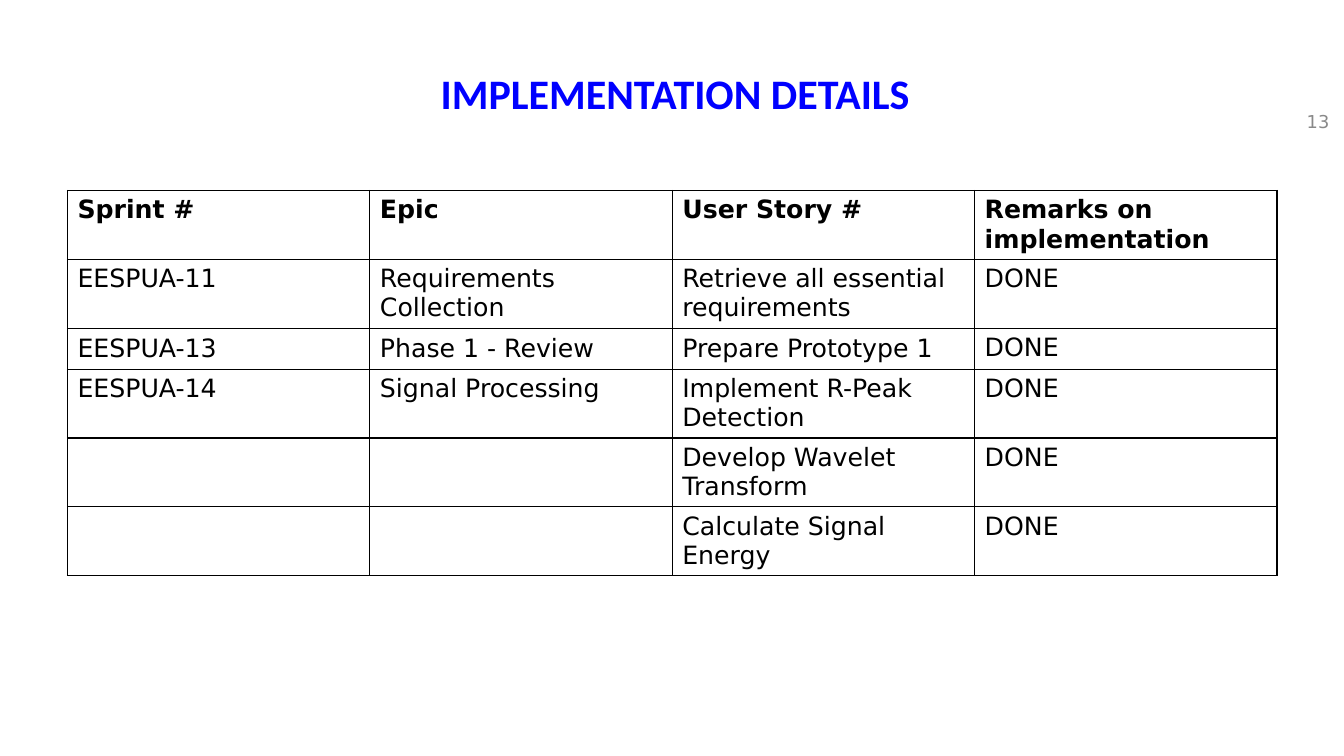
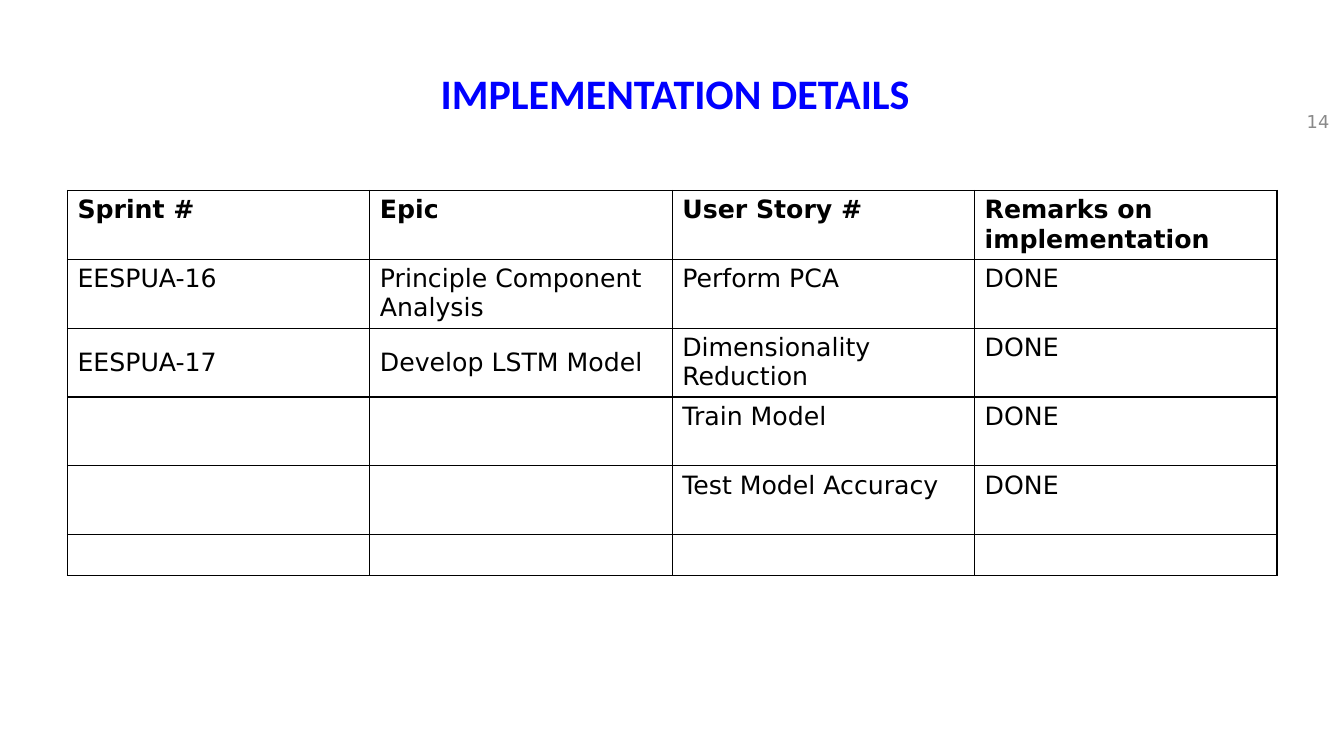
from pptx import Presentation
from pptx.dml.color import RGBColor
from pptx.enum.text import MSO_ANCHOR, MSO_AUTO_SIZE, PP_ALIGN
from pptx.oxml import parse_xml
from pptx.oxml.ns import nsdecls
from pptx.util import Pt

BLUE = RGBColor(0x00, 0x00, 0xFF)
BLACK = RGBColor(0x00, 0x00, 0x00)
GREY = RGBColor(0x89, 0x89, 0x89)

TITLE = {"name": "Calibri", "size": Pt(30), "bold": True, "color": BLUE}
HEADER = {"name": "DejaVu Sans", "size": Pt(18), "bold": True, "color": BLACK}
CELL = {**HEADER, "bold": False}
NUMBER = {"name": "DejaVu Sans", "size": Pt(12.7), "color": GREY}

COLUMNS = ["Sprint #", "Epic", "User Story #", "Remarks on implementation"]
COLUMN_WIDTH = 216
TALL, SHORT = 49.2, 29.3
CENTRED_ROW = 2

# Each row: its height, then its cells
SLIDES = [
    (13, [
        (TALL, ["EESPUA-11", "Requirements Collection",
                "Retrieve all essential requirements", "DONE"]),
        (SHORT, ["EESPUA-13", "Phase 1 - Review", "Prepare Prototype 1", "DONE"]),
        (TALL, ["EESPUA-14", "Signal Processing", "Implement R-Peak Detection", "DONE"]),
        (TALL, ["", "", "Develop Wavelet Transform", "DONE"]),
        (TALL, ["", "", "Calculate Signal Energy", "DONE"]),
    ]),
    (14, [
        (TALL, ["EESPUA-16", "Principle Component Analysis", "Perform PCA", "DONE"]),
        (TALL, ["EESPUA-17", "Develop LSTM Model", "Dimensionality Reduction", "DONE"]),
        (TALL, ["", "", "Train Model", "DONE"]),
        (TALL, ["", "", "Test Model Accuracy", "DONE"]),
        (SHORT, ["", "", "", ""]),
    ]),
]


class Deck:
    def __init__(self):
        self.prs = Presentation()
        self.prs.slide_width, self.prs.slide_height = Pt(960), Pt(540)

    def add_slide(self):
        self.s = self.prs.slides.add_slide(self.prs.slide_layouts[5])

    def set_text(self, tf, text, style, align=PP_ALIGN.LEFT):
        p = tf.paragraphs[0]
        p.alignment = align
        if not text:
            return
        r = p.add_run()
        r.text = text
        for key, value in style.items():
            if key == "color":
                r.font.color.rgb = value
            else:
                setattr(r.font, key, value)

    def set_frame(self, tf):
        frame = {"word_wrap": True, "auto_size": MSO_AUTO_SIZE.NONE,
                 "vertical_anchor": MSO_ANCHOR.MIDDLE,
                 "margin_left": Pt(7.9), "margin_right": Pt(7.9),
                 "margin_top": Pt(4.3), "margin_bottom": Pt(4.3)}
        for key, value in frame.items():
            setattr(tf, key, value)

    def title(self, text):
        sp = self.s.shapes.title
        sp.left, sp.top, sp.width, sp.height = Pt(50.4), Pt(37.4), Pt(864), Pt(57)
        self.set_frame(sp.text_frame)
        self.set_text(sp.text_frame, text, TITLE, PP_ALIGN.CENTER)

    def number(self, value):
        sp = self.s.shapes.add_textbox(Pt(893.5), Pt(72), Pt(64), Pt(28.8))
        self.set_frame(sp.text_frame)
        self.set_text(sp.text_frame, str(value), NUMBER, PP_ALIGN.RIGHT)

    def border(self, cell):
        tcPr = cell._tc.get_or_add_tcPr()
        for i, side in enumerate(("lnL", "lnR", "lnT", "lnB")):
            tcPr.insert(i, parse_xml(
                f'<a:{side} {nsdecls("a")} w="{Pt(1)}"><a:solidFill>'
                f'<a:srgbClr val="{BLACK}"/></a:solidFill></a:{side}>'))

    def table(self, rows):
        rows = [(TALL, COLUMNS)] + rows
        height = sum(h for h, _ in rows)
        table = self.s.shapes.add_table(
            len(rows), len(COLUMNS), Pt(48.2), Pt(136),
            Pt(COLUMN_WIDTH * len(COLUMNS)), Pt(height)).table
        table.horz_banding = False
        for i, (row_height, texts) in enumerate(rows):
            table.rows[i].height = Pt(row_height)
            for j, text in enumerate(texts):
                cell = table.cell(i, j)
                cell.fill.background()
                self.border(cell)
                if i == CENTRED_ROW and j < len(COLUMNS) - 1:
                    cell.vertical_anchor = MSO_ANCHOR.MIDDLE
                self.set_text(cell.text_frame, text, CELL if i else HEADER)


def main():
    deck = Deck()
    for number, rows in SLIDES:
        deck.add_slide()
        deck.title("IMPLEMENTATION DETAILS")
        deck.table(rows)
        deck.number(number)
    deck.prs.save("out.pptx")


if __name__ == "__main__":
    main()
